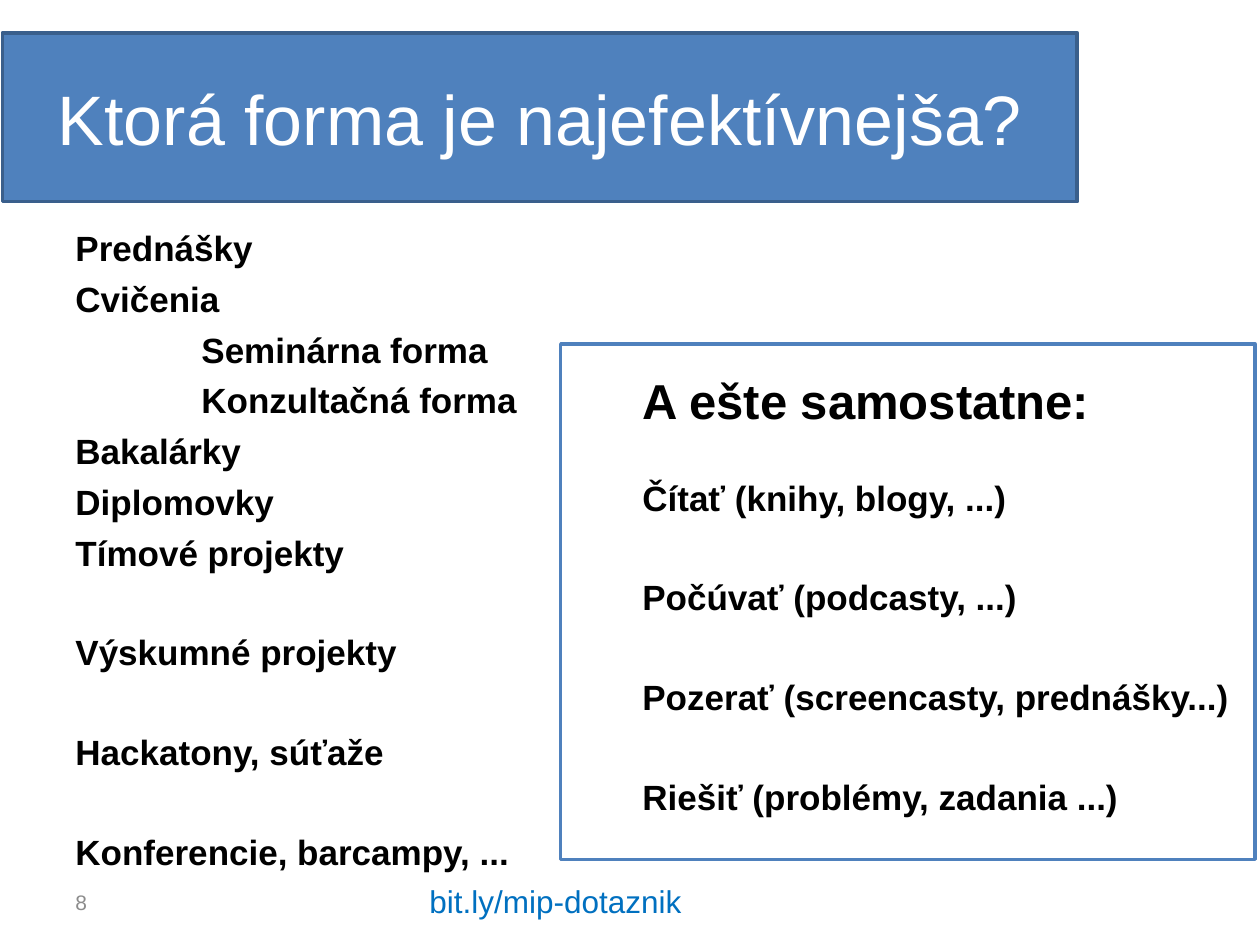
from pptx import Presentation
from pptx.dml.color import RGBColor
from pptx.enum.shapes import MSO_SHAPE
from pptx.enum.text import MSO_ANCHOR, MSO_AUTO_SIZE, PP_ALIGN
from pptx.util import Inches, Pt

RECT = MSO_SHAPE.RECTANGLE
TOP, MIDDLE = MSO_ANCHOR.TOP, MSO_ANCHOR.MIDDLE
CENTER = PP_ALIGN.CENTER
NO_FIT = MSO_AUTO_SIZE.NONE

TIGHT, WIDE = 5, 33  # points before a list line; WIDE starts a new group


def rgb(value):
    return RGBColor.from_string(value)


def write(shape, lines, size, color, bold=False, anchor=TOP):
    """Fill a shape with (text, points before, left indent) lines."""
    tf = shape.text_frame
    for name, value in {"word_wrap": True, "auto_size": NO_FIT,
                        "vertical_anchor": anchor}.items():
        setattr(tf, name, value)
    for i, (text, before, indent) in enumerate(lines):
        p = tf.paragraphs[0] if i == 0 else tf.add_paragraph()
        p.space_before = Pt(before)
        if indent:
            p._p.get_or_add_pPr().set("marL", str(Inches(indent)))
        r = p.add_run()
        r.text = text
        for name, value in {"name": "Arial", "size": Pt(size), "bold": bold}.items():
            setattr(r.font, name, value)
        r.font.color.rgb = rgb(color)


prs = Presentation()
prs.slide_width, prs.slide_height = Inches(10), Inches(7.5)
s = prs.slides.add_slide(prs.slide_layouts[5])

# Title banner
title = s.shapes.title
title.left, title.top = Inches(0.02), Inches(0.26)
title.width, title.height = Inches(8.53), Inches(1.34)
write(title, [("Ktorá forma je najefektívnejša?", 0, 0)], 40, "FFFFFF", anchor=MIDDLE)
title.text_frame.paragraphs[0].alignment = CENTER

# Frame of the self-study panel
panel = s.shapes.add_shape(RECT, Inches(4.45), Inches(2.73), Inches(5.51), Inches(4.09))
panel.shadow.inherit = False

# Fill and outline of both boxes
for sp, fill, line in [(title, "4F81BD", "3A5F8C"), (panel, "FFFFFF", "4F81BD")]:
    sp.fill.solid()
    sp.fill.fore_color.rgb = rgb(fill)
    sp.line.color.rgb = rgb(line)
    sp.line.width = Pt(2)

# Text lists
forms = [
    ("Prednášky", 0, 0),
    ("Cvičenia", TIGHT, 0),
    ("Seminárna forma", TIGHT, 1),
    ("Konzultačná forma", TIGHT, 1),
    ("Bakalárky", TIGHT, 0),
    ("Diplomovky", TIGHT, 0),
    ("Tímové projekty", TIGHT, 0),
    ("Výskumné projekty", WIDE, 0),
    ("Hackatony, súťaže", WIDE, 0),
    ("Konferencie, barcampy, ...", WIDE, 0),
]
self_study = [
    ("Čítať (knihy, blogy, ...)", 0, 0),
    ("Počúvať (podcasty, ...)", WIDE, 0),
    ("Pozerať (screencasty, prednášky...)", WIDE, 0),
    ("Riešiť (problémy, zadania ...)", WIDE, 0),
]

# Text boxes: left, top, width, height, lines, size, colour, bold, anchor
boxes = [
    (0.5, 1.75, 9.35, 5.38, forms, 20, "000000", True, TOP),
    (5, 2.73, 5, 0.89, [("A ešte samostatne:", 0, 0)], 28, "000000", True, MIDDLE),
    (5, 3.73, 5, 3, self_study, 20, "000000", True, TOP),
    (0.5, 6.96, 2.33, 0.4, [("8", 0, 0)], 12, "8C8C8C", False, MIDDLE),
    (3.31, 6.95, 3.38, 0.4, [("bit.ly/mip-dotaznik", 0, 0)], 18, "0070C0", False, TOP),
]
for left, top, width, height, *text in boxes:
    box = s.shapes.add_textbox(Inches(left), Inches(top), Inches(width), Inches(height))
    write(box, *text)

prs.save("out.pptx")
